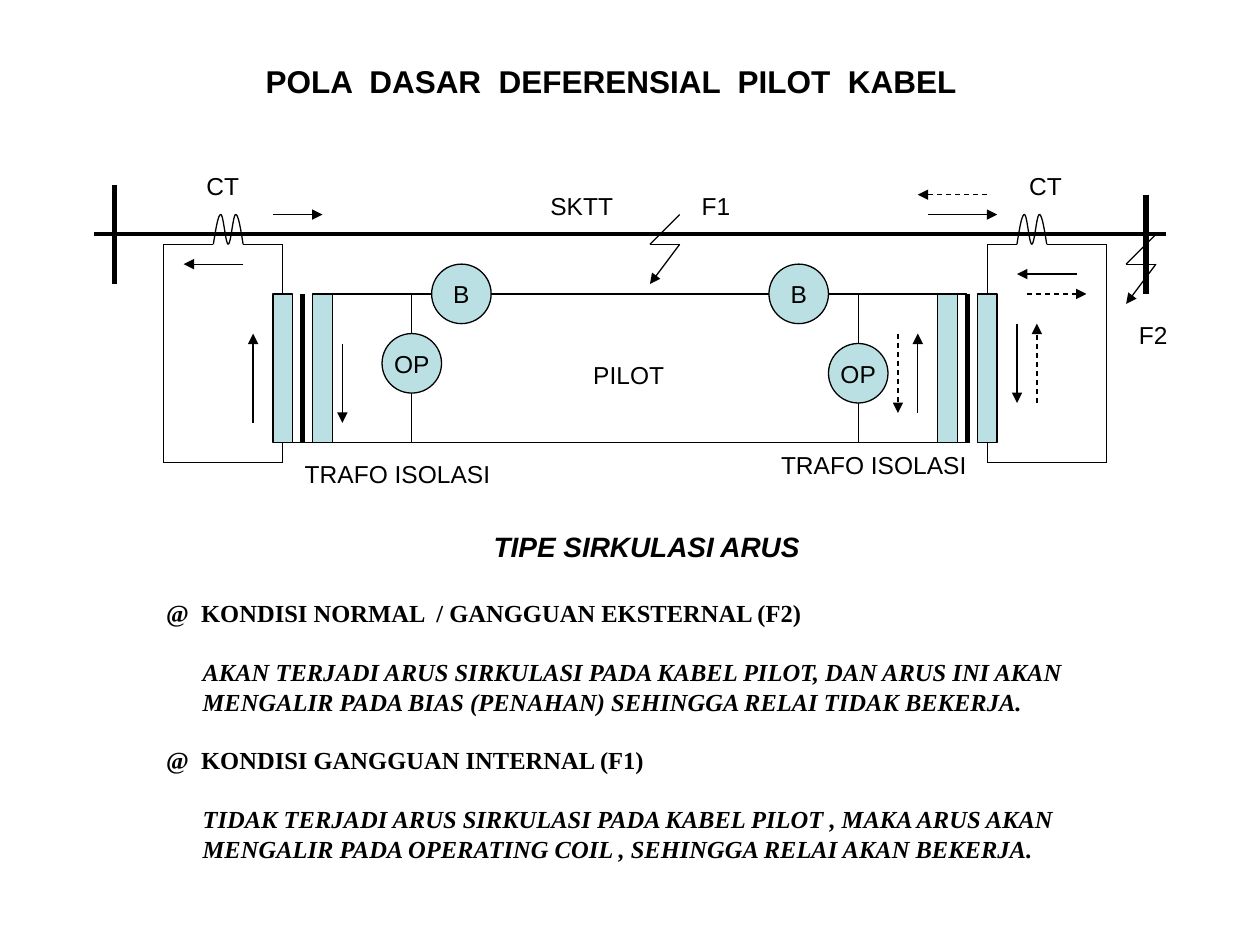
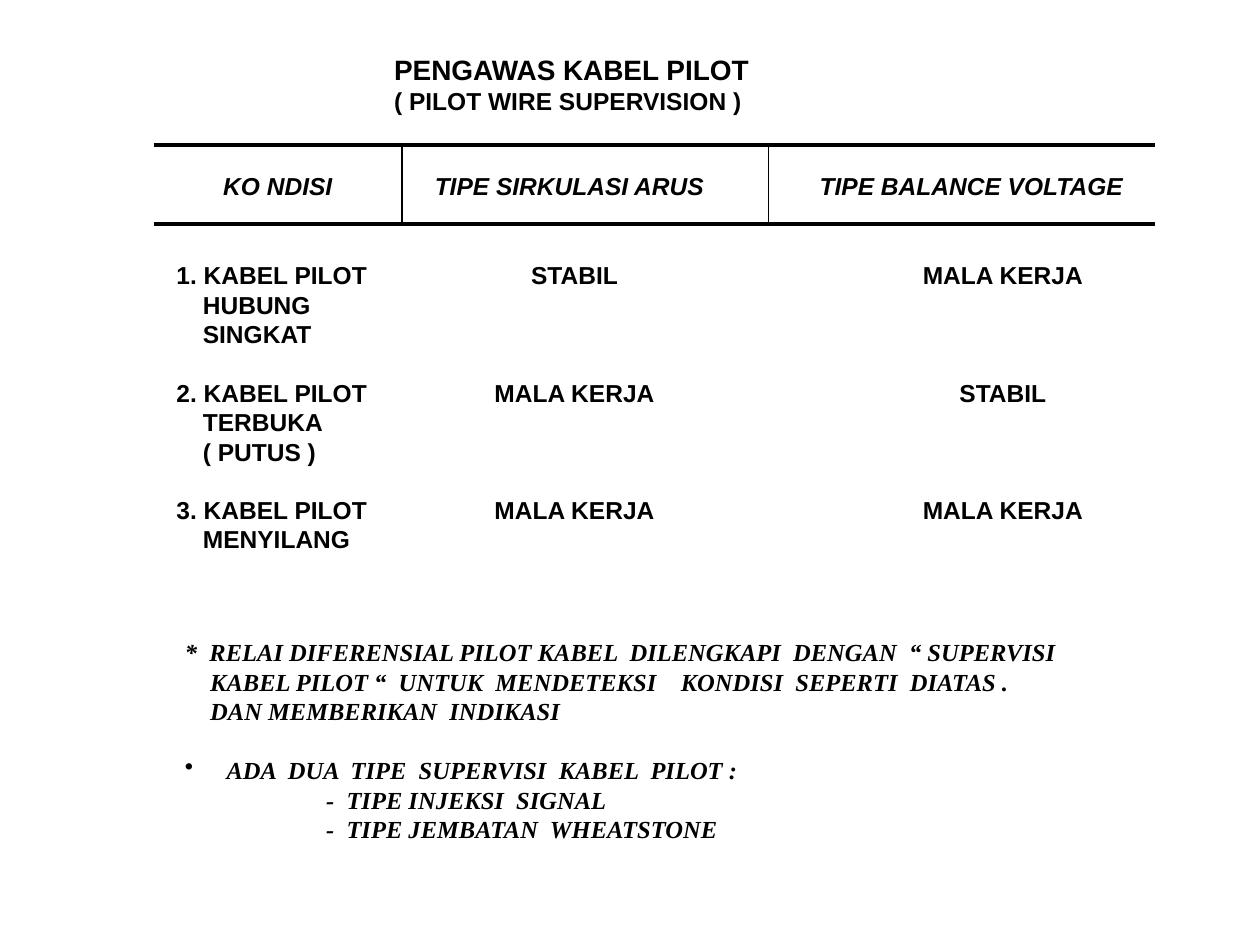
from math import cos, pi, sin

from lxml.etree import SubElement
from pptx import Presentation
from pptx.dml.color import RGBColor
from pptx.enum.dml import MSO_LINE
from pptx.enum.shapes import MSO_CONNECTOR, MSO_SHAPE
from pptx.enum.text import MSO_ANCHOR, PP_ALIGN
from pptx.oxml.ns import qn
from pptx.util import Inches, Mm, Pt

BLACK = RGBColor(0, 0, 0)
PALE_BLUE = RGBColor(0xBB, 0xE0, 0xE3)
SANS = "Arial"
SERIF = "Times New Roman"
THIN, RULE, HEAVY = Pt(0.75), Pt(2.25), Pt(3)
BODY_SIZE = 14
LEADING = 1.2


def draw_line(slide, start, end, width=THIN, dashed=False, arrow=False):
    connector = slide.shapes.add_connector(MSO_CONNECTOR.STRAIGHT, *start, *end)
    connector.line.color.rgb = BLACK
    connector.line.width = width
    if dashed:
        connector.line.dash_style = MSO_LINE.DASH
    if arrow:
        SubElement(connector.line._get_or_add_ln(), qn("a:tailEnd"), type="triangle")
    SubElement(connector._element.spPr, qn("a:effectLst"))


def add_text(slide, left, top, width, entries, size=BODY_SIZE, font=SANS, bold=True):
    lines = sum(entry[0].count("\v") + 1 + bool(entry[3]) for entry in entries)
    height = lines * size * LEADING / 72 + 0.1
    box = slide.shapes.add_textbox(Inches(left), Inches(top), Inches(width), Inches(height))
    frame = box.text_frame
    frame.word_wrap = True
    for number, (text, italic, margin, gap) in enumerate(entries):
        paragraph = frame.add_paragraph() if number else frame.paragraphs[0]
        paragraph.text = text
        paragraph.line_spacing = Pt(size * LEADING)
        paragraph.space_before = Pt(size * LEADING * gap)
        paragraph.font.size = Pt(size)
        paragraph.font.name = font
        paragraph.font.bold = bold
        paragraph.font.italic = italic
        paragraph.font.color.rgb = BLACK
        paragraph._p.get_or_add_pPr().set("marL", str(Inches(margin)))
    return frame


presentation = Presentation()
presentation.slide_width = Inches(10)
presentation.slide_height = Inches(7.5)
blank_layout = presentation.slide_layouts[6]

slide = presentation.slides.add_slide(blank_layout)
step = Mm(2)
columns = [Mm(19.02) + step * number for number in range(109)]
rows = [Mm(37.25) + step * number for number in range(29)]

add_text(slide, 2.01, 0.44, 5.8, [("POLA  DASAR  DEFERENSIAL  PILOT  KABEL", False, 0, 0)], 18)

draw_line(slide, (columns[0], rows[5]), (columns[108], rows[5]), RULE)
for column, top, bottom in [(2, 0, 10), (106, 1, 11), (21, 11, 26), (88, 11, 26)]:
    draw_line(slide, (columns[column], rows[top]), (columns[column], rows[bottom]), HEAVY)

for coil_column in (12, 93):
    points = []
    for sample in range(49):
        share = sample / 48
        if 0.25 < share < 0.75:
            rise = (1 + cos(4 * pi * (share - 0.25))) / 2
        else:
            rise = abs(sin(2 * pi * share))
        points.append((columns[coil_column] + int(3 * step * share), rows[6] - int(3 * step * rise)))
    builder = slide.shapes.build_freeform(*points[0])
    builder.add_line_segments(points[1:], close=False)
    coil = builder.convert_to_shape()
    coil.shadow.inherit = False
    coil.fill.background()
    coil.line.color.rgb = BLACK
    coil.line.width = THIN

wires = [
    (12, 6, 7, 6), (7, 6, 7, 28), (7, 28, 19, 28), (19, 28, 19, 26), (15, 6, 19, 6), (19, 6, 19, 11),
    (96, 6, 102, 6), (102, 6, 102, 28), (102, 28, 90, 28), (90, 28, 90, 26), (93, 6, 90, 6), (90, 6, 90, 11),
    (22, 11, 34, 11), (40, 11, 68, 11), (74, 11, 88, 11), (19, 26, 88, 26),
    (77, 11, 77, 16), (77, 22, 77, 26), (32, 11, 32, 15), (32, 21, 32, 26),
]
for left, top, right, bottom in wires:
    draw_line(slide, (columns[left], rows[top]), (columns[right], rows[bottom]))

components = [(MSO_SHAPE.RECTANGLE, column, 11, 2, 15, "") for column in (18, 22, 85, 89)]
components += [
    (MSO_SHAPE.OVAL, column, row, 6, 6, name)
    for column, row, name in [(34, 8, "B"), (68, 8, "B"), (29, 15, "OP"), (74, 16, "OP")]
]
for kind, column, row, across, down, name in components:
    component = slide.shapes.add_shape(kind, columns[column], rows[row], across * step, down * step)
    component.shadow.inherit = False
    component.fill.solid()
    component.fill.fore_color.rgb = PALE_BLUE
    component.line.color.rgb = BLACK
    component.line.width = THIN
    if name:
        frame = component.text_frame
        frame.margin_left = frame.margin_right = frame.margin_top = frame.margin_bottom = 0
        frame.word_wrap = False
        paragraph = frame.paragraphs[0]
        paragraph.text = name
        paragraph.alignment = PP_ALIGN.CENTER
        paragraph.font.size = Pt(BODY_SIZE)
        paragraph.font.name = SANS
        paragraph.font.color.rgb = BLACK

for column, row in [(104, 5), (56, 3)]:
    fault = [(column + 3, row), (column, row + 3), (column + 3, row + 3), (column, row + 7)]
    corners = [(columns[across], rows[down]) for across, down in fault]
    for number in range(3):
        draw_line(slide, corners[number], corners[number + 1], arrow=number == 2)

current_arrows = [
    (18, 3, 23, 3), (84, 3, 91, 3), (15, 8, 9, 8), (16, 24, 16, 15), (25, 16, 25, 24),
    (99, 9, 93, 9), (93, 14, 93, 22), (83, 23, 83, 15),
]
fault_arrows = [(90, 1, 83, 1), (94, 11, 100, 11), (95, 22, 95, 14), (81, 15, 81, 23)]
for arrows, dashed in [(current_arrows, False), (fault_arrows, True)]:
    for left, top, right, bottom in arrows:
        draw_line(slide, (columns[left], rows[top]), (columns[right], rows[bottom]), dashed=dashed, arrow=True)

labels = [
    ("PILOT", 4.61, 2.81, 0.85), ("TRAFO ISOLASI", 2.32, 3.59, 1.75), ("TRAFO ISOLASI", 6.1, 3.52, 1.75),
    ("CT", 1.54, 1.31, 0.55), ("CT", 8.07, 1.31, 0.55), ("SKTT", 4.27, 1.47, 0.8),
    ("F1", 5.47, 1.47, 0.5), ("F2", 8.94, 2.49, 0.5),
]
for text, left, top, width in labels:
    add_text(slide, left, top, width, [(text, False, 0, 0)], bold=False)

add_text(slide, 3.82, 4.15, 2.75, [("TIPE SIRKULASI ARUS", True, 0, 0)], 16)
add_text(slide, 1.22, 4.7, 7.6, [
    ("@  KONDISI NORMAL  / GANGGUAN EKSTERNAL (F2)", False, 0, 0),
    ("AKAN TERJADI ARUS SIRKULASI PADA KABEL PILOT, DAN ARUS INI AKAN\v"
     "MENGALIR PADA BIAS (PENAHAN) SEHINGGA RELAI TIDAK BEKERJA.", True, 0.29, 1),
    ("@  KONDISI GANGGUAN INTERNAL (F1)", False, 0, 1),
    ("TIDAK TERJADI ARUS SIRKULASI PADA KABEL PILOT , MAKA ARUS AKAN\v"
     "MENGALIR PADA OPERATING COIL , SEHINGGA RELAI AKAN BEKERJA.", True, 0.29, 1),
], font=SERIF)

slide = presentation.slides.add_slide(blank_layout)
add_text(slide, 3.03, 0.37, 3.2, [("PENGAWAS KABEL PILOT", False, 0, 0)], 16)
add_text(slide, 3.03, 0.63, 3.2, [("( PILOT WIRE SUPERVISION )", False, 0, 0)])

conditions = [
    ("KO NDISI", "TIPE SIRKULASI ARUS", "TIPE BALANCE VOLTAGE"),
    ("1. KABEL PILOT\vHUBUNG\vSINGKAT", "STABIL", "MALA KERJA"),
    ("2. KABEL PILOT\vTERBUKA\v( PUTUS )", "MALA KERJA", "STABIL"),
    ("3. KABEL PILOT\vMENYILANG", "MALA KERJA", "MALA KERJA"),
]
table_left, table_top = 1.22, 1.15
column_widths = [1.97, 2.91, 3.07]
row_heights = [0.63, 0.99, 0.93, 0.7]
top_margins = [0.02, 0.29, 0.23, 0.23]
table = slide.shapes.add_table(
    4, 3, Inches(table_left), Inches(table_top), Inches(sum(column_widths)), Inches(sum(row_heights))
).table
table.first_row = table.horz_banding = False
table._tbl.tblPr[0].text = "{2D5ABB26-0587-4C30-8999-92F81FD0307C}"
for column, width in zip(table.columns, column_widths):
    column.width = Inches(width)
for row, height in zip(table.rows, row_heights):
    row.height = Inches(height)

for row_number, texts in enumerate(conditions):
    header = row_number == 0
    left_margins = (0, 0, 0.15) if header else (0.18, 0, 0.65)
    right_margins = (0, 0.25 if header else 0.17, 0)
    for column_number, text in enumerate(texts):
        cell = table.cell(row_number, column_number)
        cell.margin_left = Inches(left_margins[column_number])
        cell.margin_right = Inches(right_margins[column_number])
        cell.margin_top = Inches(top_margins[row_number])
        cell.margin_bottom = 0
        cell.vertical_anchor = MSO_ANCHOR.MIDDLE if header else MSO_ANCHOR.TOP
        cell.fill.background()
        paragraph = cell.text_frame.paragraphs[0]
        paragraph.text = text
        paragraph.line_spacing = Pt(BODY_SIZE * LEADING)
        paragraph.font.size = Pt(BODY_SIZE)
        paragraph.font.name = SANS
        paragraph.font.bold = True
        paragraph.font.italic = header
        paragraph.font.color.rgb = BLACK
        if header or column_number:
            paragraph.alignment = PP_ALIGN.CENTER
        else:
            properties = paragraph._p.get_or_add_pPr()
            properties.set("marL", str(Inches(0.21)))
            properties.set("indent", str(-Inches(0.21)))

header_top, header_bottom = Inches(table_top), Inches(table_top + row_heights[0])
table_edges = [Inches(table_left + sum(column_widths[:number])) for number in range(4)]
for height in (header_top, header_bottom):
    draw_line(slide, (table_edges[0], height), (table_edges[3], height), RULE)
for edge in table_edges[1:3]:
    draw_line(slide, (edge, header_top), (edge, header_bottom))

notes_frame = add_text(slide, 1.37, 5.01, 7.3, [
    ("*  RELAI DIFERENSIAL PILOT KABEL  DILENGKAPI  DENGAN  “ SUPERVISI\v"
     "KABEL PILOT “  UNTUK  MENDETEKSI    KONDISI  SEPERTI  DIATAS .\v"
     "DAN MEMBERIKAN  INDIKASI", True, 0.2, 0),
    ("ADA  DUA  TIPE  SUPERVISI  KABEL  PILOT :", True, 0.33, 1),
    ("-  TIPE INJEKSI  SIGNAL", True, 1.12, 0),
    ("-  TIPE JEMBATAN  WHEATSTONE", True, 1.12, 0),
], font=SERIF)
for paragraph, hang in zip(notes_frame.paragraphs, (0.2, 0.33)):
    paragraph._p.get_or_add_pPr().set("indent", str(-Inches(hang)))
bullet_properties = notes_frame.paragraphs[1]._p.get_or_add_pPr()
bullet = SubElement(bullet_properties, qn("a:buChar"), char="•")
bullet_properties.find(qn("a:defRPr")).addprevious(bullet)

presentation.save("out.pptx")
